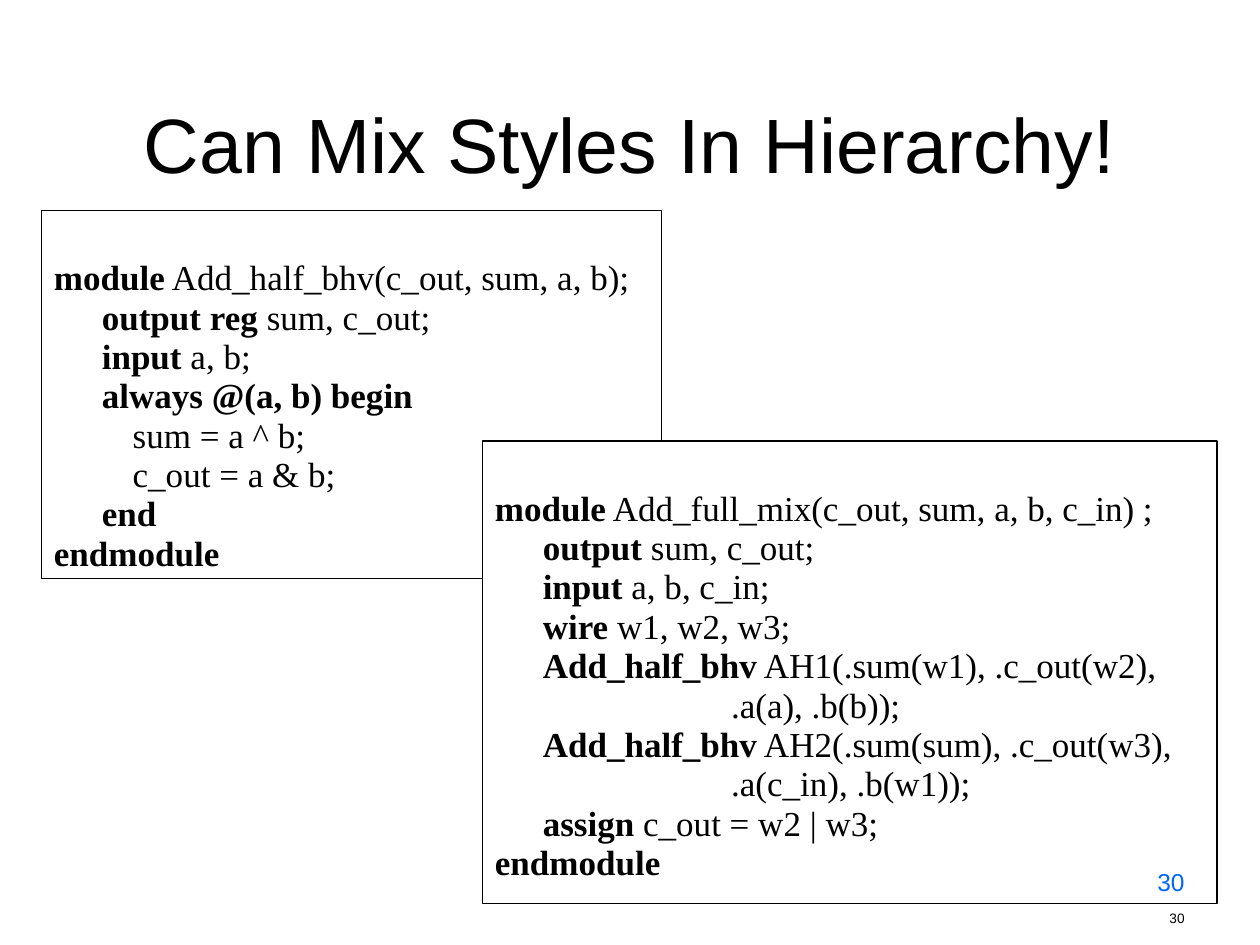
"""Build a slide showing two overlapping Verilog listings that mix styles."""
from dataclasses import dataclass
from typing import Optional

from pptx import Presentation
from pptx.dml.color import RGBColor
from pptx.enum.shapes import MSO_SHAPE
from pptx.enum.text import MSO_ANCHOR, PP_ALIGN
from pptx.util import Inches, Pt

RECTANGLE = MSO_SHAPE.RECTANGLE
TOP, BOTTOM = MSO_ANCHOR.TOP, MSO_ANCHOR.BOTTOM
LEFT, CENTER, RIGHT = PP_ALIGN.LEFT, PP_ALIGN.CENTER, PP_ALIGN.RIGHT
COLORS = {"ink": "000000", "paper": "FFFFFF", "accent": "0066FF"}
HANGING = 0.38


@dataclass
class Label:
    text: str
    area: tuple[float, float, float, float]
    size: float
    color: str = "ink"
    align: PP_ALIGN = RIGHT
    anchor: MSO_ANCHOR = TOP


@dataclass
class Listing:
    area: tuple[float, float, float, float]
    fill: Optional[str]
    lines: list[tuple[str, str]]


TITLE = Label("Can Mix Styles In Hierarchy!", (0.5, 0.3, 9, 1.25), 44,
              align=CENTER, anchor=BOTTOM)
FOOTER_NUMBER = Label("30", (7.17, 7.17, 2.33, 0.25), 7.8)
PAGE_NUMBER = Label("30", (7.17, 6.83, 2.33, 0.52), 14, "accent")

HALF_ADDER = Listing((0.33, 1.67, 4.92, 2.92), None, [
    ("module", " Add_half_bhv(c_out, sum, a, b);"),
    ("\toutput reg", " sum, c_out;"),
    ("\tinput", " a, b;"),
    ("\talways @(a, b) begin", ""),
    ("", "         sum = a ^ b;"),
    ("", "         c_out = a & b;"),
    ("\tend", ""),
    ("endmodule", ""),
])
FULL_ADDER = Listing((3.83, 3.5, 5.83, 3.67), "paper", [
    ("module", " Add_full_mix(c_out, sum, a, b, c_in) ;"),
    ("\toutput", " sum, c_out;"),
    ("\tinput", " a, b, c_in;"),
    ("\twire", " w1, w2, w3;"),
    ("\tAdd_half_bhv", " AH1(.sum(w1), .c_out(w2),"),
    ("", "                           .a(a), .b(b));"),
    ("\tAdd_half_bhv", " AH2(.sum(sum), .c_out(w3),"),
    ("", "                           .a(c_in), .b(w1));"),
    ("\tassign", " c_out = w2 | w3;"),
    ("endmodule", ""),
])


def add_text(para, text: str, *, size: float, font: str = "Arial",
             color: str = "ink", bold: bool = False) -> None:
    """Append a formatted span to a paragraph."""
    span = para.add_run()
    span.text = text
    span.font.name = font
    span.font.size = Pt(size)
    span.font.bold = bold
    span.font.color.rgb = RGBColor.from_string(COLORS[color])


def add_label(page, label: Label) -> None:
    """Draw a single-line text box."""
    box = page.shapes.add_textbox(*map(Inches, label.area))
    frame = box.text_frame
    frame.word_wrap = True
    frame.vertical_anchor = label.anchor
    para = frame.paragraphs[0]
    para.alignment = label.align
    add_text(para, label.text, size=label.size, color=label.color)


def add_listing(page, listing: Listing) -> None:
    """Draw a framed code listing with bold keywords."""
    box = page.shapes.add_shape(RECTANGLE, *map(Inches, listing.area))
    box.shadow.inherit = False
    box.line.color.rgb = RGBColor.from_string(COLORS["ink"])
    box.line.width = Pt(0.75)
    if listing.fill:
        box.fill.solid()
        box.fill.fore_color.rgb = RGBColor.from_string(COLORS[listing.fill])
    else:
        box.fill.background()
    frame = box.text_frame
    frame.word_wrap = True
    frame.vertical_anchor = TOP
    frame.margin_top = Inches(0.45)
    for index, (keyword, rest) in enumerate(listing.lines):
        para = frame.add_paragraph() if index else frame.paragraphs[0]
        para.alignment = LEFT
        para.line_spacing = 0.7
        para.space_before = Pt(5.7 if index else 0)
        properties = para._p.get_or_add_pPr()
        properties.set("marL", str(Inches(HANGING)))
        properties.set("indent", str(Inches(-HANGING)))
        for text, bold in ((keyword, True), (rest, False)):
            if text:
                add_text(para, text, size=20, font="Times New Roman", bold=bold)


def main() -> None:
    """Assemble and save the deck."""
    deck = Presentation()
    deck.slide_width, deck.slide_height = Inches(10), Inches(7.5)
    page = deck.slides.add_slide(deck.slide_layouts[6])
    add_label(page, FOOTER_NUMBER)
    add_label(page, TITLE)
    add_listing(page, HALF_ADDER)
    add_listing(page, FULL_ADDER)
    add_label(page, PAGE_NUMBER)
    deck.save("out.pptx")


if __name__ == "__main__":
    main()
